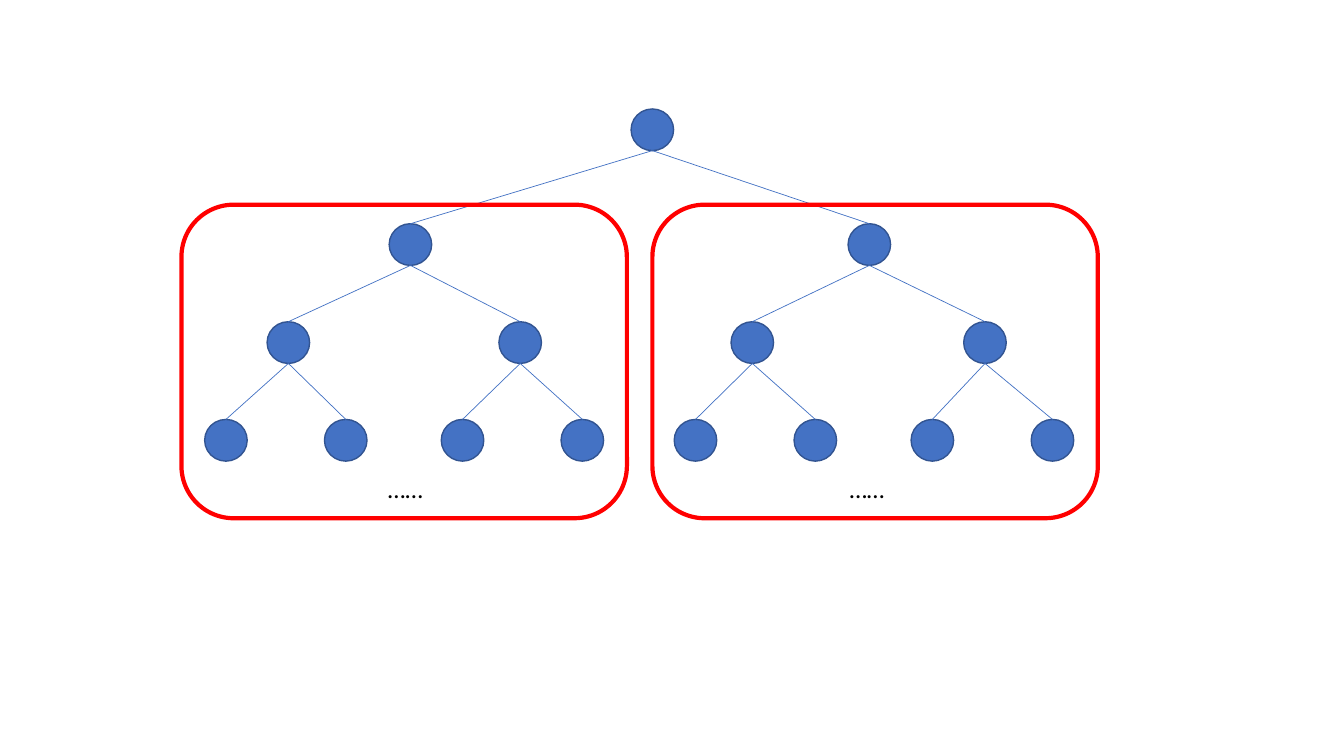
from dataclasses import dataclass

from lxml import etree
from pptx import Presentation
from pptx import util as u
from pptx.dml.color import RGBColor
from pptx.enum import shapes, text
from pptx.oxml import ns


@dataclass(frozen=True)
class Theme:
    node: str = "4472C4"
    node_edge: str = "325491"
    frame: str = "FF0000"
    ink: str = "000000"
    font: str = "Calibri"
    text_size: float = 18
    node_line: float = 1
    branch_line: float = 0.5
    frame_line: float = 3


THEME = Theme()
NODE_W, NODE_H = 30.4, 29.8

# Each level of the tree: top edge, then node centres from left to right
LEVELS = [
    (77.8, [466]),
    (159.8, [293.2, 621]),
    (229.8, [206, 371.6, 537.4, 703.6]),
    (299.6, [161.4, 247, 330.4, 416, 496.8, 582.4, 666, 751.8]),
]

# Left edges of each subtree's frame and its ellipsis
SUBTREES = [(129.6, 270), (466, 599.8)]


def set_format(obj, values):
    for name, value in values.items():
        setattr(obj, name, value)


def set_line(sp, color, width):
    sp.line.color.rgb = RGBColor.from_string(color)
    sp.line.width = u.Pt(width)


def add_outlined(parent, kind, box, color, width):
    sp = parent.add_shape(kind, *map(u.Pt, box))
    sp.shadow.inherit = False
    set_line(sp, color, width)
    return sp


def add_node(parent, center, top):
    box = (center - NODE_W / 2, top, NODE_W, NODE_H)
    sp = add_outlined(parent, shapes.MSO_SHAPE.OVAL, box,
                      THEME.node_edge, THEME.node_line)
    sp.fill.solid()
    sp.fill.fore_color.rgb = RGBColor.from_string(THEME.node)
    return sp


def add_branch(parent, upper, lower):
    line = parent.add_connector(
        shapes.MSO_CONNECTOR.STRAIGHT,
        upper.left + upper.width // 2, upper.top + upper.height,
        lower.left + lower.width // 2, lower.top)
    set_line(line, THEME.node, THEME.branch_line)
    etree.SubElement(line._element.spPr, ns.qn("a:effectLst"))


def add_frame(parent, left):
    sp = add_outlined(parent, shapes.MSO_SHAPE.ROUNDED_RECTANGLE,
                      (left, 146.2, 318.2, 224), THEME.frame, THEME.frame_line)
    sp.fill.background()


def add_ellipsis(parent, left):
    sp = parent.add_textbox(*map(u.Pt, (left, 334.8, 152, 29)))
    tf = sp.text_frame
    set_format(tf, {"word_wrap": True,
                    "auto_size": text.MSO_AUTO_SIZE.SHAPE_TO_FIT_TEXT})
    r = tf.paragraphs[0].add_run()
    r.text = "……"
    set_format(r.font, {"name": THEME.font, "size": u.Pt(THEME.text_size)})
    r.font.color.rgb = RGBColor.from_string(THEME.ink)


def add_tree(parent):
    tree = parent.add_group_shape().shapes
    rows = [[add_node(tree, center, top) for center in centers]
            for top, centers in LEVELS]
    for uppers, lowers in zip(rows, rows[1:]):
        for i, lower in enumerate(lowers):
            add_branch(tree, uppers[i // 2], lower)


def main():
    prs = Presentation()
    set_format(prs, {"slide_width": u.Pt(960), "slide_height": u.Pt(540)})
    s = prs.slides.add_slide(prs.slide_layouts[6])

    # Binary tree
    add_tree(s.shapes)

    # Left and right subtrees
    for frame_left, ellipsis_left in SUBTREES:
        add_frame(s.shapes, frame_left)
        add_ellipsis(s.shapes, ellipsis_left)

    prs.save("out.pptx")


if __name__ == "__main__":
    main()
